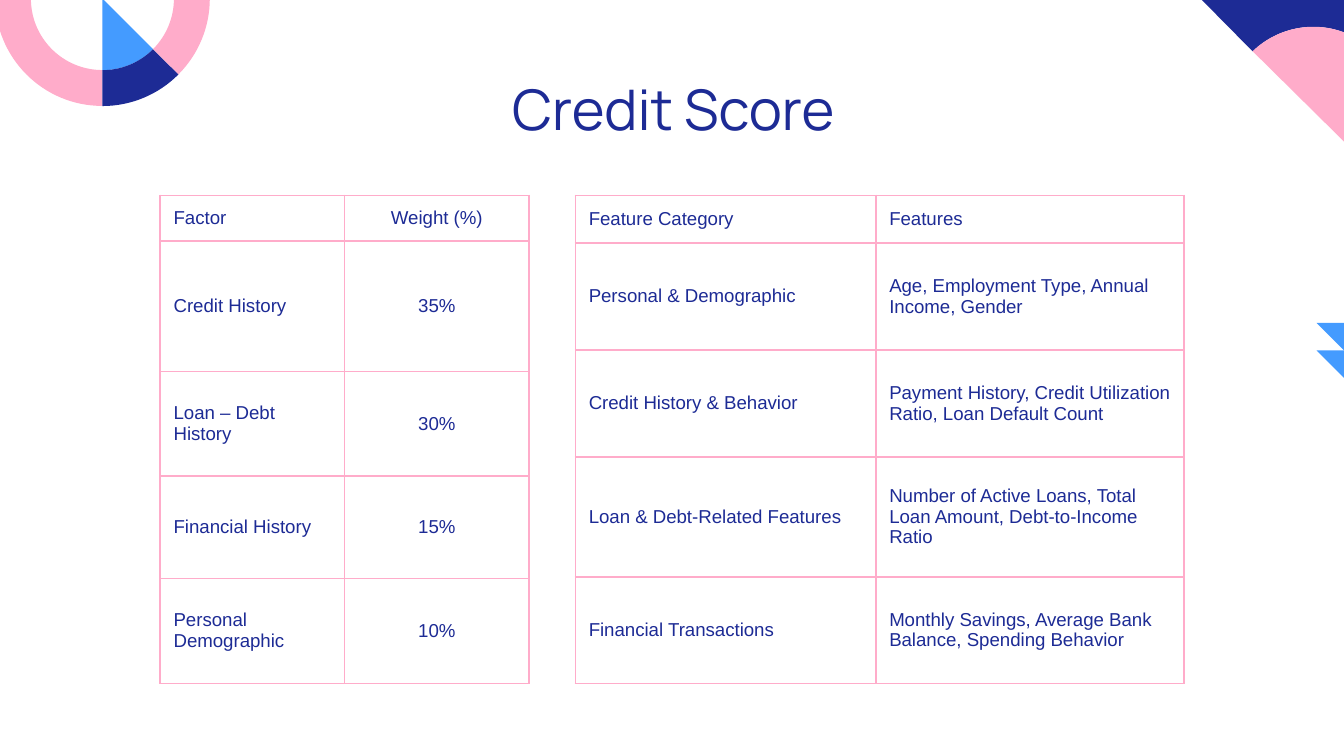
"""Build the Credit Score slide with its two tables and corner shapes."""
from math import cos, radians, sin, tan
from lxml.etree import Element, SubElement
from pptx import Presentation
from pptx.dml.color import RGBColor
from pptx.enum.text import MSO_ANCHOR, PP_ALIGN
from pptx.oxml.ns import qn
from pptx.util import Pt

NAVY, BLUE, PINK = "1D2B95", "449BFF", "FFACCA"


def color(code):
    return RGBColor.from_string(code)


def arc(x, y, size, start, end):
    a, b = radians(start), radians(end)
    pull = 4 / 3 * tan((b - a) / 4)
    units = [(cos(a), sin(a)),
             (cos(a) - pull * sin(a), sin(a) + pull * cos(a)),
             (cos(b) + pull * sin(b), sin(b) - pull * cos(b)),
             (cos(b), sin(b))]
    return [(x + size * u, y + size * v) for u, v in units]


deck = Presentation()
deck.slide_width, deck.slide_height = Pt(720), Pt(405)
slide = deck.slides.add_slide(deck.slide_layouts[6])
shapes = slide.shapes

hub = (54.9, -0.7)
inner, outer = 38.3, 57.5
parts = [([hub] + arc(*hub, inner, 45, 90), [2], BLUE)]
for start, end, fill in [(0, 45, PINK), (90, 180, PINK), (45, 90, NAVY)]:
    ring = arc(*hub, outer, start, end) + arc(*hub, inner, end, start)
    parts.append((ring, [1, 5], fill))

curve = arc(703.6, 61.2, 46.8, 226, 293)
parts.append(([(641.9, -2), (722, -2)] + curve[::-1], [3], NAVY))
parts.append((curve + [(722, 77.8)], [1], PINK))
for top in (173, 187.7):
    parts.append(([(705.3, top), (720, top), (720, top + 14.7)], [], BLUE))

for points, bends, fill in parts:
    spots = [(Pt(x), Pt(y)) for x, y in points]
    form = shapes.build_freeform(*spots[0], scale=1.0)
    form.add_line_segments(spots[1:], close=True)
    shape = form.convert_to_shape()
    lines = list(shape._element.iter(qn("a:lnTo")))
    for bend in bends:
        cubic = Element(qn("a:cubicBezTo"))
        lines[bend - 1].addprevious(cubic)
        for line in lines[bend - 1:bend + 2]:
            cubic.append(line[0])
            line.getparent().remove(line)
    shape.shadow.inherit = False
    shape.fill.solid()
    shape.fill.fore_color.rgb = color(fill)
    shape.line.fill.background()

title = shapes.add_textbox(Pt(56.9), Pt(35), Pt(607.7), Pt(45.4))
frame = title.text_frame
frame.word_wrap = True
frame.vertical_anchor = MSO_ANCHOR.MIDDLE
frame.margin_left = frame.margin_right = Pt(7.2)
frame.margin_top = frame.margin_bottom = Pt(7.2)
para = frame.paragraphs[0]
para.alignment = PP_ALIGN.CENTER
run = para.add_run()
run.text = "Credit Score"
run.font.name, run.font.size = "Manrope", Pt(30)
run.font.color.rgb = color(NAVY)

features = [
    ("Feature Category", "Features"),
    ("Personal & Demographic", "Age, Employment Type, Annual Income, Gender"),
    ("Credit History & Behavior",
     "Payment History, Credit Utilization Ratio, Loan Default Count"),
    ("Loan & Debt-Related Features",
     "Number of Active Loans, Total Loan Amount, Debt-to-Income Ratio"),
    ("Financial Transactions",
     "Monthly Savings, Average Bank Balance, Spending Behavior"),
]
weights = [
    ("Factor", "Weight (%)"),
    ("Credit History", "35%"),
    ("Loan – Debt History", "30%"),
    ("Financial History", "15%"),
    ("Personal Demographic", "10%"),
]
left, mid = PP_ALIGN.LEFT, PP_ALIGN.CENTER
tables = [
    (features, 308.2, (161, 165.1), (25.4, 57.3, 57.3, 64.3, 57.2), (left, left)),
    (weights, 85.8, (98.8, 98.8), (24.4, 69.9, 56.2, 54.7, 56.3), (left, mid)),
]
for data, x, widths, heights, aligns in tables:
    table = shapes.add_table(len(heights), len(widths), Pt(x), Pt(104.7),
                             Pt(sum(widths)), Pt(sum(heights))).table
    table.first_row = table.horz_banding = False
    for col, width in zip(table.columns, widths):
        col.width = Pt(width)
    for row, height, texts in zip(table.rows, heights, data):
        row.height = Pt(height)
        for cell, text, align in zip(row.cells, texts, aligns):
            cell.vertical_anchor = MSO_ANCHOR.MIDDLE
            props = cell._tc.get_or_add_tcPr()
            for side in ("lnL", "lnR", "lnT", "lnB"):
                edge = SubElement(props, qn(f"a:{side}"), w=str(Pt(1)))
                solid = SubElement(edge, qn("a:solidFill"))
                SubElement(solid, qn("a:srgbClr"), val=PINK)
            cell.fill.background()
            para = cell.text_frame.paragraphs[0]
            para.alignment = align
            run = para.add_run()
            run.text = text
            run.font.name, run.font.size = "Arial", Pt(10)
            run.font.color.rgb = color(NAVY)

deck.save("out.pptx")
